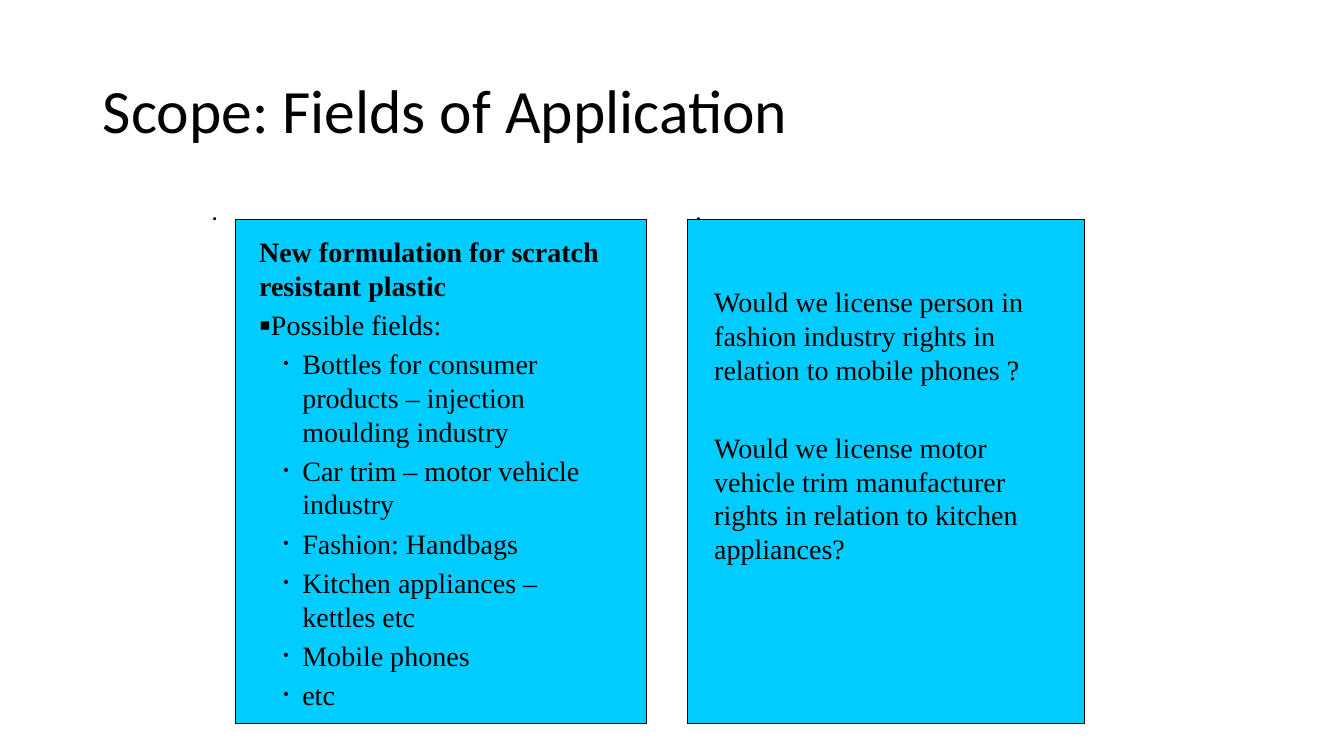
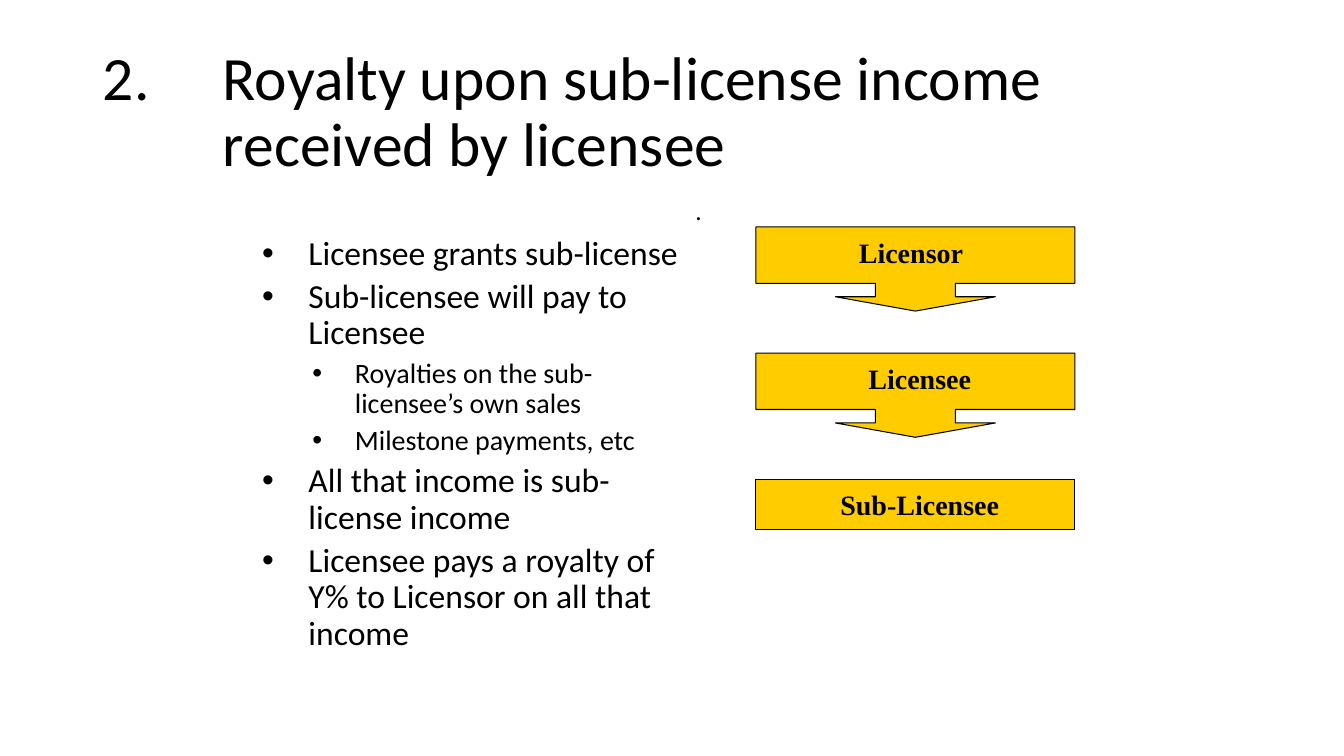
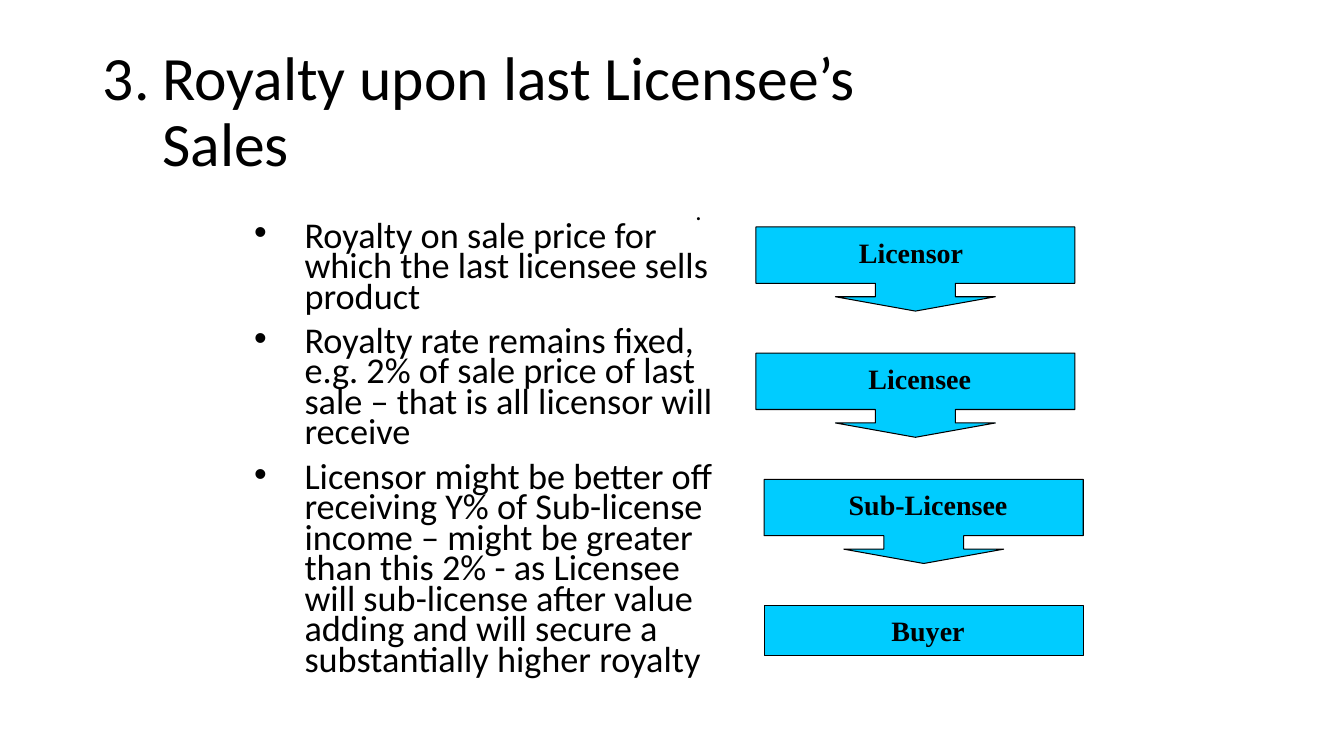
from dataclasses import dataclass

from lxml.etree import SubElement
from pptx import Presentation
from pptx.dml.color import RGBColor
from pptx.enum.shapes import MSO_SHAPE
from pptx.enum.text import MSO_ANCHOR, MSO_AUTO_SIZE, PP_ALIGN
from pptx.oxml.ns import qn
from pptx.util import Cm, Pt


@dataclass(frozen=True)
class Theme:
    ink: RGBColor = RGBColor(0x00, 0x00, 0x00)
    cyan: RGBColor = RGBColor(0x00, 0xCC, 0xFF)
    gold: RGBColor = RGBColor(0xFF, 0xCC, 0x00)
    sans: str = "Calibri"
    serif: str = "Times New Roman"
    title: float = 44
    dense: float = 25.9
    item: float = 24
    subitem: float = 20
    panel: float = 20
    mark: float = 18
    outline: float = 0.75


T = Theme()
TITLE_BOX = (2.34, 1.02, 29.21, 3.68)
LEFT_BODY = (5.08, 4.88, 11.73, 13.54)
RIGHT_BODY = (17.27, 4.88, 11.73, 13.54)
CHAIN_ORIGIN = (19.05, 5.72)


def place(sp, box):
    sp.left, sp.top, sp.width, sp.height = (Cm(v) for v in box)


def set_bullet(p, bullet, margin, hanging, bullet_size, number_from):
    pPr = p._p.get_or_add_pPr()
    pPr.set("marL", str(Cm(margin)))
    pPr.set("indent", str(-Cm(hanging)))
    if bullet_size:
        SubElement(pPr, qn("a:buSzPct"), val=str(bullet_size * 1000))
    if number_from:
        SubElement(pPr, qn("a:buAutoNum"), type="arabicPeriod", startAt=str(number_from))
    elif bullet:
        SubElement(pPr, qn("a:buFont"), typeface="Arial")
        SubElement(pPr, qn("a:buChar"), char=bullet)
    else:
        SubElement(pPr, qn("a:buNone"))


def write(tf, text, *, size, font=T.sans, bold=False, align=PP_ALIGN.LEFT, level=0,
          bullet=None, margin=0, hanging=0, bullet_size=None, number_from=None,
          before=0, spacing=None):
    """Add one formatted paragraph, using the empty first one if there is one."""
    first = len(tf.paragraphs) == 1 and not tf.text
    p = tf.paragraphs[0] if first else tf.add_paragraph()
    p.text = text
    p.level = level
    set_bullet(p, bullet, margin, hanging, bullet_size, number_from)
    p.alignment = align
    p.space_before = Pt(0 if first else before)
    if spacing:
        p.line_spacing = spacing
    for r in p.runs:
        r.font.name = font
        r.font.size = Pt(size)
        r.font.bold = bold
        r.font.color.rgb = T.ink


def open_frame(sp, margin=None):
    """Return a wrapped, unscaled text frame anchored at the top."""
    tf = sp.text_frame
    tf.word_wrap = True
    tf.auto_size = MSO_AUTO_SIZE.NONE
    tf.vertical_anchor = MSO_ANCHOR.TOP
    if margin is not None:
        tf.margin_left = tf.margin_top = tf.margin_right = tf.margin_bottom = Cm(margin)
    return tf


def add_filled(slide, kind, box, fill, line=None):
    sp = slide.shapes.add_shape(kind, *(Cm(v) for v in box))
    sp.shadow.inherit = False
    sp.fill.solid()
    sp.fill.fore_color.rgb = fill
    if line is None:
        sp.line.fill.background()
    else:
        sp.line.color.rgb = T.ink
        sp.line.width = Pt(line)
    return sp


def add_titled_slide(prs, title, **fmt):
    slide = prs.slides.add_slide(prs.slide_layouts[3])
    sp = slide.shapes.title
    place(sp, TITLE_BOX)
    tf = open_frame(sp)
    tf.vertical_anchor = MSO_ANCHOR.MIDDLE
    write(tf, title, size=T.title, spacing=0.9, **fmt)
    return slide


def open_body(slide, idx, box):
    sp = slide.placeholders[idx]
    place(sp, box)
    return open_frame(sp)


def fill_with_mark(slide, idx, box):
    write(open_body(slide, idx, box), ".", size=T.mark, margin=0.64, hanging=0.64, spacing=0.9)


def add_panel(slide, box, inset, lines):
    """Draw a cyan panel; inset is the text box's left, top, width, height inside it."""
    add_filled(slide, MSO_SHAPE.RECTANGLE, box, T.cyan, line=0)
    x, y, w, h = inset
    sp = slide.shapes.add_textbox(Cm(box[0] + x), Cm(box[1] + y), Cm(w), Cm(h))
    tf = open_frame(sp, margin=0)
    for text, fmt in lines:
        write(tf, text, **{"size": T.panel, "font": T.serif, "before": 4, **fmt})


def add_chain(slide, origin, steps, fill):
    """Stack steps of (name, box shift, label shift); all but the last point down."""
    pitch, width = 3.18, 8.04
    for i, (name, shift, label_shift) in enumerate(steps):
        x, y = origin[0] + shift, origin[1] + i * pitch
        if i < len(steps) - 1:
            sp = add_filled(slide, MSO_SHAPE.DOWN_ARROW_CALLOUT, (x, y, width, 2.12), fill, T.outline)
            for k, value in enumerate((0.95, 0.95, 0.17, 0.67)):
                sp.adjustments[k] = value
            label_height = 1.06
        else:
            add_filled(slide, MSO_SHAPE.FLOWCHART_PROCESS, (x, y, width, 1.27), fill, T.outline)
            label_height = 0.85
        label = add_filled(slide, MSO_SHAPE.RECTANGLE,
                           (x + label_shift, y + 0.21, 6.98, label_height), fill)
        write(open_frame(label, margin=0), name, size=T.panel, font=T.serif, bold=True,
              align=PP_ALIGN.CENTER)


def build_fields(prs):
    slide = add_titled_slide(prs, "Scope: Fields of Application")
    fill_with_mark(slide, 1, LEFT_BODY)
    fill_with_mark(slide, 2, RIGHT_BODY)
    field = dict(level=1, bullet="•", bullet_size=55, margin=1.09, hanging=0.48)
    fields = ("Bottles for consumer products – injection moulding industry",
              "Car trim – motor vehicle industry",
              "Fashion: Handbags",
              "Kitchen appliances – kettles etc",
              "Mobile phones",
              "etc")
    add_panel(slide, (5.94, 5.54, 10.36, 12.7), (0.59, 0.38, 8.94, 12.32), [
        ("New formulation for scratch resistant plastic", dict(bold=True)),
        ("Possible fields:", dict(bullet="▪", bullet_size=120)),
        *((text, field) for text in fields)])
    add_panel(slide, (17.32, 5.54, 10.01, 12.7), (0.2, 1.64, 9.53, 10.5), [
        ("Would we license person in fashion industry rights in relation to mobile phones ?",
         dict(margin=0.48)),
        ("Would we license motor vehicle trim manufacturer rights in relation to kitchen appliances?",
         dict(margin=0.48, before=32))])


def build_sublicense_income(prs):
    slide = add_titled_slide(prs, "2.\tRoyalty upon sub-license income received by licensee",
                             margin=3.02, hanging=3.02)
    tf = open_body(slide, 1, (5.08, 5.83, 12.42, 12.59))
    formats = {1: dict(size=T.item, margin=2.44, hanging=1.17),
               2: dict(size=T.subitem, margin=3.61, hanging=1.07)}
    for level, text in ((1, "Licensee grants sub-license"),
                        (1, "Sub-licensee will pay to Licensee"),
                        (2, "Royalties on the sub- licensee’s own sales"),
                        (2, "Milestone payments, etc"),
                        (1, "All that income is sub-license income"),
                        (1, "Licensee pays a royalty of Y% to Licensor on all that income")):
        write(tf, text, level=level, bullet="•", before=5, spacing=0.9, **formats[level])
    fill_with_mark(slide, 2, RIGHT_BODY)
    add_chain(slide, CHAIN_ORIGIN, (("Licensor", 0, 0.42), ("Licensee", 0, 0.64),
                                    ("Sub-Licensee", 0, 0.64)), T.gold)


def build_last_sales(prs):
    slide = add_titled_slide(prs, "Royalty upon last Licensee’s \vSales",
                             number_from=3, margin=1.5, hanging=1.5)
    tf = open_body(slide, 1, (6.15, 5.51, 12.27, 12.48))
    for text in ("Royalty on sale price for which the last licensee sells product",
                 "Royalty rate remains fixed, e.g. 2% of sale price of last sale – that is all "
                 "licensor will receive",
                 "Licensor might be better off receiving Y% of Sub-license income – might be "
                 "greater than this 2% - as Licensee will sub-license after value adding and "
                 "will secure a substantially higher royalty"):
        write(tf, text, size=T.dense, bullet="•", margin=1.27, hanging=1.27, before=10, spacing=0.7)
    fill_with_mark(slide, 2, RIGHT_BODY)
    add_chain(slide, CHAIN_ORIGIN, (("Licensor", 0, 0.42), ("Licensee", 0, 0.64),
                                    ("Sub-Licensee", 0.21, 0.64), ("Buyer", 0.21, 0.64)), T.cyan)


def main():
    prs = Presentation()
    prs.slide_width, prs.slide_height = Cm(33.87), Cm(19.05)
    build_fields(prs)
    build_sublicense_income(prs)
    build_last_sales(prs)
    prs.save("out.pptx")


if __name__ == "__main__":
    main()
